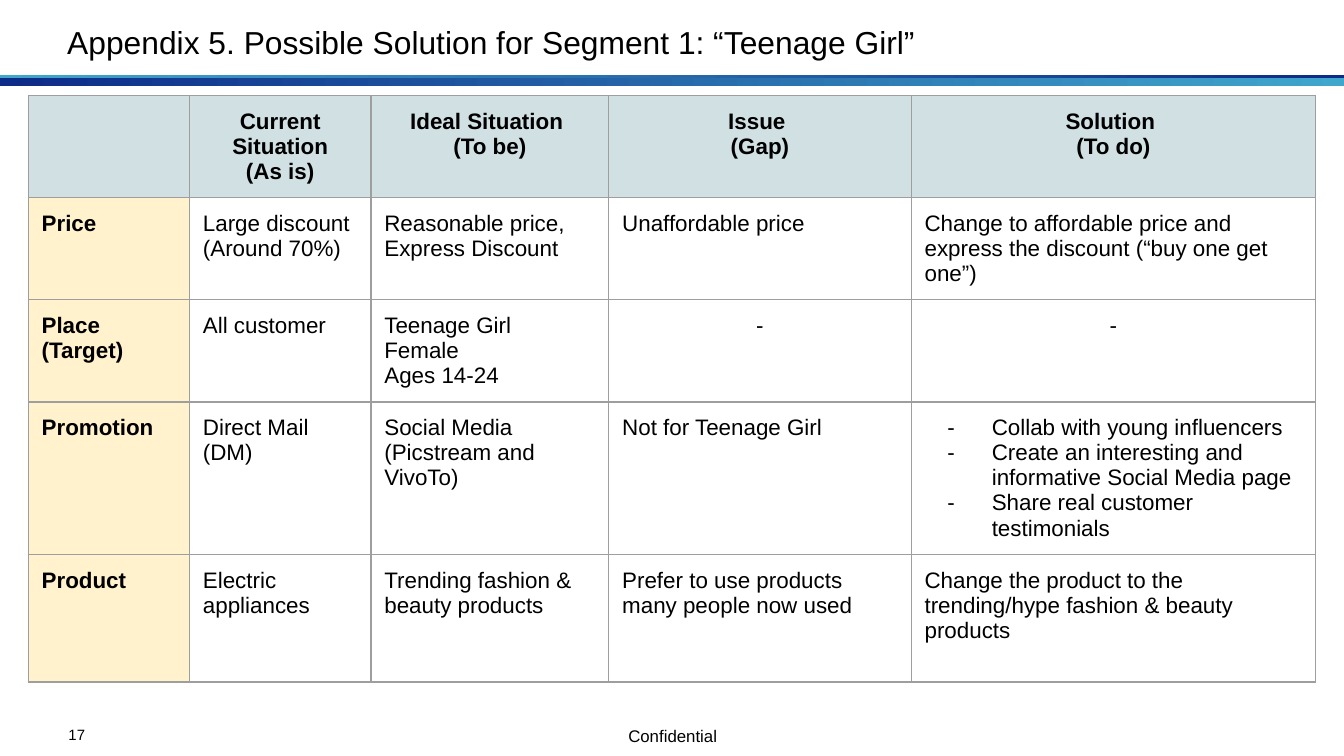
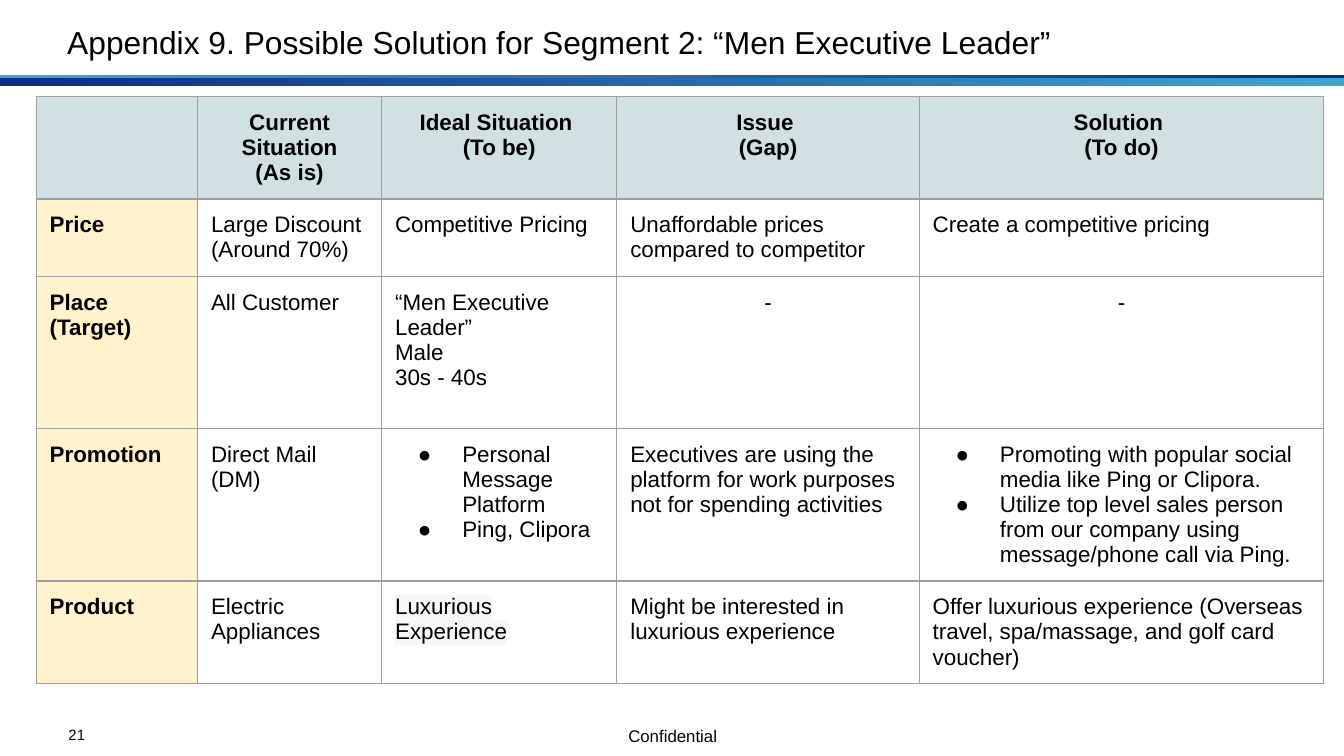
from dataclasses import dataclass

from lxml import etree
from pptx import Presentation
from pptx.dml.color import RGBColor
from pptx.enum.shapes import MSO_SHAPE
from pptx.enum.text import MSO_ANCHOR, MSO_AUTO_SIZE, PP_ALIGN
from pptx.oxml.ns import qn
from pptx.util import Inches, Pt

LEFT, MID = PP_ALIGN.LEFT, PP_ALIGN.CENTER
TOP, BASE = MSO_ANCHOR.TOP, MSO_ANCHOR.BOTTOM
RECT = MSO_SHAPE.RECTANGLE
FIXED = MSO_AUTO_SIZE.NONE
TITLE_ONLY = 5

FONT = "Arial"
BLACK, GREY = "000000", "9E9E9E"
SKY, NAVY = "3FA6CC", "0D2B88"
HEAD, SIDE, MARK = "D0E0E3", "FFF2CC", "F7F7F8"
PAD = Inches(0.1)
WIDE = Inches(10)


@dataclass
class Band:
    top: float
    height: float
    start: str
    end: str


@dataclass
class Cell:
    text: str
    bullet: str = ""
    mark: str = ""


@dataclass
class Page:
    number: str
    title: str
    left: float
    top: float
    cols: list[float]
    rows: list[float]
    body: list[list[Cell]]


BANDS = [Band(0.56, 0.04, SKY, NAVY), Band(0.58, 0.06, NAVY, SKY)]
HEADS = ["", "Current Situation\n(As is)", "Ideal Situation \n(To be)",
         "Issue \n(Gap)", "Solution \n(To do)"]
SIDES = ["Price", "Place (Target)", "Promotion", "Product"]

PAGES = [
    Page("17", "Appendix 5. Possible Solution for Segment 1: “Teenage Girl”",
         0.21, 0.71, [1.2, 1.35, 1.77, 2.25, 3.01],
         [0.76, 0.76, 0.76, 1.13, 0.95], [
             [Cell("Large discount\n(Around 70%)"),
              Cell("Reasonable price, Express Discount"),
              Cell("Unaffordable price"),
              Cell("Change to affordable price and express the discount "
                   "(“buy one get one”)")],
             [Cell("All customer"), Cell("Teenage Girl\nFemale\nAges 14-24"),
              Cell("-"), Cell("-")],
             [Cell("Direct Mail (DM)"),
              Cell("Social Media (Picstream and VivoTo)"),
              Cell("Not for Teenage Girl"),
              Cell("Collab with young influencers\n"
                   "Create an interesting and informative Social Media page\n"
                   "Share real customer testimonials", bullet="-")],
             [Cell("Electric appliances"),
              Cell("Trending fashion & beauty products"),
              Cell("Prefer to use products many people now used"),
              Cell("Change the product to the trending/hype fashion & beauty "
                   "products")],
         ]),
    Page("21", "Appendix 9. Possible Solution for Segment 2: “Men Executive Leader”",
         0.27, 0.72, [1.2, 1.37, 1.75, 2.25, 3.01],
         [0.76, 0.58, 1.13, 1.13, 0.76], [
             [Cell("Large Discount\n(Around 70%)"), Cell("Competitive Pricing"),
              Cell("Unaffordable prices compared to competitor"),
              Cell("Create a competitive pricing")],
             [Cell("All Customer"),
              Cell("“Men Executive Leader”\nMale\n30s - 40s"),
              Cell("-"), Cell("-")],
             [Cell("Direct Mail (DM)"),
              Cell("Personal Message Platform\nPing, Clipora", bullet="●"),
              Cell("Executives are using the platform for work purposes not for "
                   "spending activities"),
              Cell("Promoting with popular social media like Ping or Clipora.\n"
                   "Utilize top level sales person from our company using "
                   "message/phone call via Ping.", bullet="●")],
             [Cell("Electric Appliances"),
              Cell("Luxurious Experience", mark=MARK),
              Cell("Might be interested in luxurious experience"),
              Cell("Offer luxurious experience (Overseas travel, spa/massage, "
                   "and golf card voucher)")],
         ]),
]


def color(code: str) -> RGBColor:
    return RGBColor.from_string(code)


def add_tint(parent, code: str) -> None:
    etree.SubElement(parent, qn("a:srgbClr"), val=code)


def add_bullet(para, sign: str, size: float) -> None:
    props = para._p.get_or_add_pPr()
    props.set("marL", str(Inches(0.5)))
    props.set("indent", str(Inches(-0.33)))
    add_tint(etree.SubElement(props, qn("a:buClr")), BLACK)
    etree.SubElement(props, qn("a:buSzPts"), val=str(int(size * 100)))
    etree.SubElement(props, qn("a:buFont"), typeface=FONT)
    etree.SubElement(props, qn("a:buChar"), char=sign)


def add_mark(run, code: str) -> None:
    glow = etree.Element(qn("a:highlight"))
    add_tint(glow, code)
    run._r.get_or_add_rPr().find(qn("a:solidFill")).addnext(glow)


def write(frame, text: str, *, size: float, bold: bool = False, align=LEFT,
          space: float | None = None, bullet: str = "", mark: str = "") -> None:
    for i, line in enumerate(text.split("\n")):
        para = frame.paragraphs[0] if i == 0 else frame.add_paragraph()
        para.alignment = align
        if space:
            para.line_spacing = space
        if bullet:
            add_bullet(para, bullet, size)
        run = para.add_run()
        run.text = line
        run.font.name, run.font.size, run.font.bold = FONT, Pt(size), bold
        run.font.color.rgb = color(BLACK)
        if mark:
            add_mark(run, mark)


def set_frame(frame, anchor=TOP) -> None:
    frame.margin_left = frame.margin_right = 0
    frame.margin_top = frame.margin_bottom = 0
    frame.word_wrap = True
    frame.auto_size = FIXED
    frame.vertical_anchor = anchor


def add_label(slide, text: str, box: tuple[float, ...], **style) -> None:
    frame = slide.shapes.add_textbox(*map(Inches, box)).text_frame
    set_frame(frame)
    write(frame, text, **style)


def add_band(slide, band: Band) -> None:
    shape = slide.shapes.add_shape(RECT, 0, Inches(band.top), WIDE,
                                   Inches(band.height))
    shape.shadow.inherit = False
    shape.line.fill.background()
    shape.fill.gradient()
    shape.fill.gradient_angle = 0
    for i, code in enumerate((band.start, band.end)):
        stop = shape.fill.gradient_stops[i]
        stop.position = i
        stop.color.rgb = color(code)


def add_frame(slide, page: Page) -> None:
    add_label(slide, "Confidential", (4.02, 5.43, 1.97, 0.12), size=9,
              align=MID, space=0.8)
    for band in BANDS:
        add_band(slide, band)
    add_label(slide, page.number, (0.51, 5.4, 0.5, 0.19), size=8)
    title = slide.shapes.title
    title.left, title.top = Inches(0.5), Inches(0.12)
    title.width, title.height = Inches(8.71), Inches(0.33)
    set_frame(title.text_frame, BASE)
    write(title.text_frame, page.title, size=17)


def add_edges(cell) -> None:
    props = cell._tc.get_or_add_tcPr()
    for i, side in enumerate("LRTB"):
        edge = etree.Element(qn(f"a:ln{side}"), w=str(Pt(0.75)))
        add_tint(etree.SubElement(edge, qn("a:solidFill")), GREY)
        props.insert(i, edge)


def fill_cell(cell, item: Cell, fill: str, align, bold: bool) -> None:
    cell.margin_left = cell.margin_right = PAD
    cell.margin_top = cell.margin_bottom = PAD
    if fill:
        cell.fill.solid()
        cell.fill.fore_color.rgb = color(fill)
    else:
        cell.fill.background()
    add_edges(cell)
    if item.text:
        write(cell.text_frame, item.text, size=12, bold=bold, align=align,
              bullet=item.bullet, mark=item.mark)


def add_grid(slide, page: Page) -> None:
    table = slide.shapes.add_table(
        len(page.rows), len(page.cols), Inches(page.left), Inches(page.top),
        Inches(sum(page.cols)), Inches(sum(page.rows))).table
    table.first_row = table.horz_banding = False
    for col, width in zip(table.columns, page.cols):
        col.width = Inches(width)
    for row, height in zip(table.rows, page.rows):
        row.height = Inches(height)
    items = [[Cell(text) for text in HEADS]]
    items += [[Cell(side), *line] for side, line in zip(SIDES, page.body)]
    for r, line in enumerate(items):
        for c, item in enumerate(line):
            fill = HEAD if r == 0 else SIDE if c == 0 else ""
            align = MID if r == 0 or item.text == "-" else LEFT
            fill_cell(table.cell(r, c), item, fill, align, bool(fill))


def main() -> None:
    deck = Presentation()
    deck.slide_width, deck.slide_height = WIDE, WIDE * 9 // 16
    for page in PAGES:
        slide = deck.slides.add_slide(deck.slide_layouts[TITLE_ONLY])
        add_frame(slide, page)
        add_grid(slide, page)
    deck.save("out.pptx")


if __name__ == "__main__":
    main()
